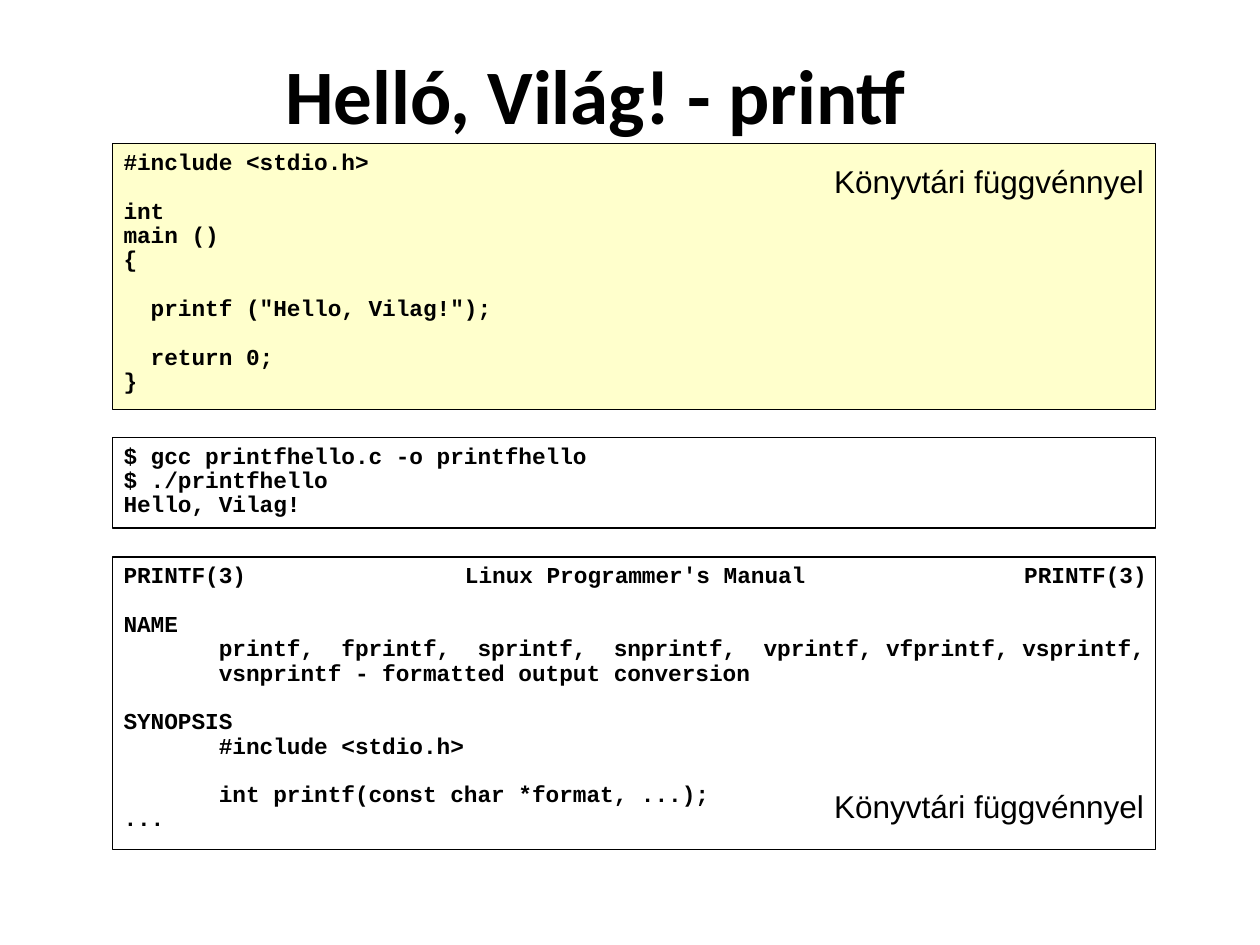
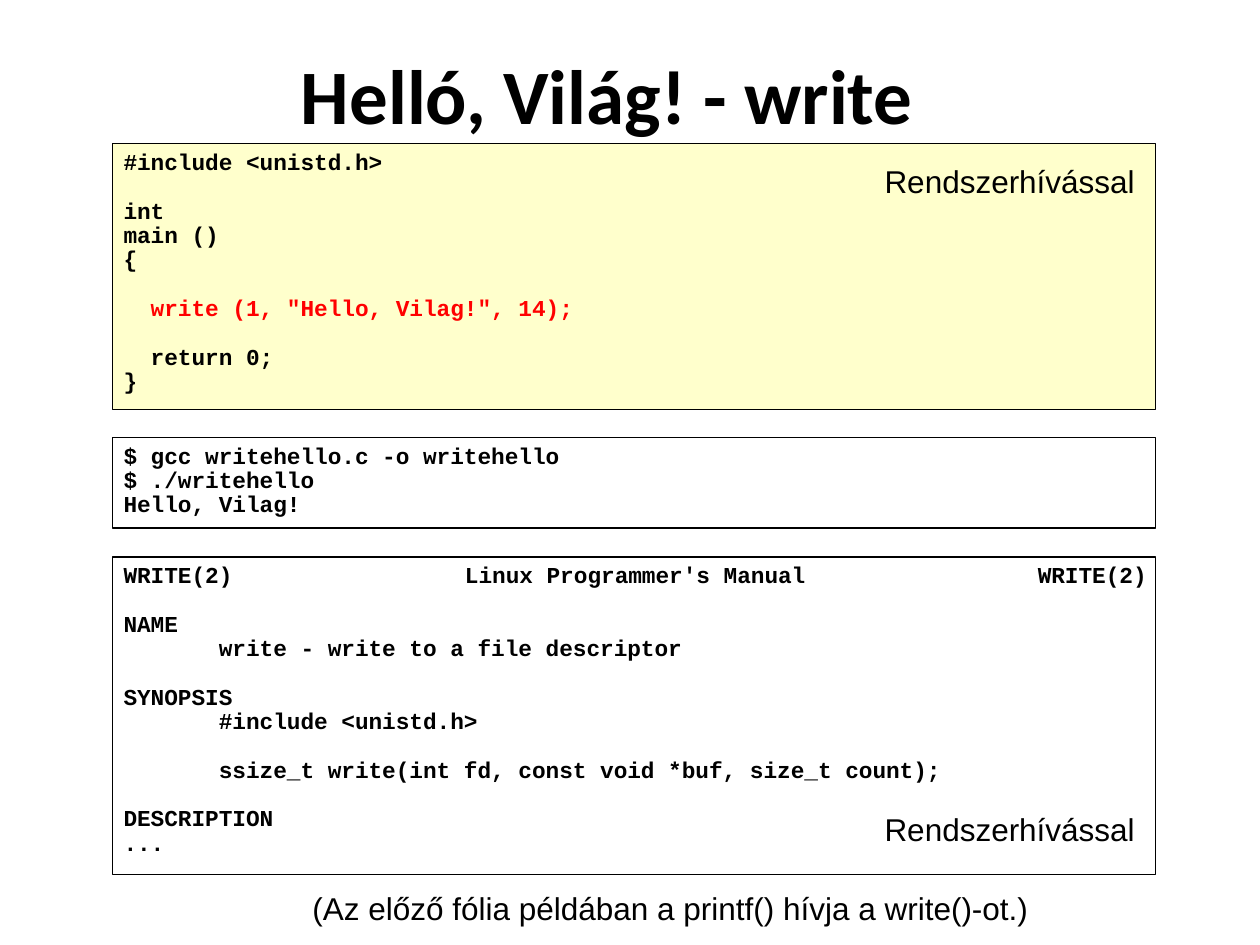
"""Build two slides comparing a library call with a system call in C."""
from dataclasses import dataclass

from lxml import etree
from pptx import Presentation
from pptx.dml.color import RGBColor
from pptx.enum.shapes import MSO_SHAPE
from pptx.enum.text import MSO_ANCHOR, MSO_AUTO_SIZE, PP_ALIGN
from pptx.oxml.ns import qn
from pptx.util import Inches, Pt

RECT = MSO_SHAPE.RECTANGLE
TOP = MSO_ANCHOR.TOP
NO_FIT = MSO_AUTO_SIZE.NONE
LEFT, CENTER = PP_ALIGN.LEFT, PP_ALIGN.CENTER

BLACK = RGBColor(0x00, 0x00, 0x00)
WHITE = RGBColor(0xFF, 0xFF, 0xFF)
CREAM = RGBColor(0xFF, 0xFF, 0xCC)
RED = RGBColor(0xFF, 0x00, 0x00)

TITLE_FONT, CODE_FONT, LABEL_FONT = "Calibri", "Courier New", "Arial"
TITLE_WIDTH = 6
PANEL_LEFT, PANEL_WIDTH = 0.89, 8.28
LABEL_TOP, LABEL_HEIGHT = 1.23, 0.34
BLANK_LINE = Pt(13.9)
MANUAL_TABS = ((4.06, "ctr"), (8.12, "r"))


@dataclass
class Panel:
    """A framed block of code or terminal text."""

    top: float
    height: float
    fill: RGBColor
    text: str
    highlight: str = ""


@dataclass
class Label:
    """A free line of explanatory text."""

    left: float
    top: float
    width: float
    text: str


@dataclass
class Example:
    """Everything one slide shows."""

    title: str
    title_center: float
    panels: list[Panel]
    labels: list[Label]


def source_code(header: str, call: str, highlight: str = "") -> Panel:
    """Return the panel holding the C program around one call."""
    text = f"""#include <{header}>

int
main ()
{{

  {call}

  return 0;
}}"""
    return Panel(1.14, 2.11, CREAM, text, highlight)


def terminal(program: str) -> Panel:
    """Return the panel that compiles and runs a program."""
    text = f"$ gcc {program}.c -o {program}\n$ ./{program}\nHello, Vilag!"
    return Panel(3.47, 0.72, WHITE, text)


def manual(page: str, height: float, body: str) -> Panel:
    """Return the panel holding a manual page."""
    text = f"{page}\tLinux Programmer's Manual\t{page}\n\n{body}"
    return Panel(4.42, height, WHITE, text)


def paired_labels(left: float, lower_top: float, width: float, text: str) -> list[Label]:
    """Return the same label for the code and the manual panel."""
    return [Label(left, top, width, text) for top in (lower_top, LABEL_TOP)]


PRINTF_PAGE = """NAME
       printf,  fprintf,  sprintf,  snprintf,  vprintf, vfprintf, vsprintf,
       vsnprintf - formatted output conversion

SYNOPSIS
       #include <stdio.h>

       int printf(const char *format, ...);
..."""

WRITE_PAGE = """NAME
       write - write to a file descriptor

SYNOPSIS
       #include <unistd.h>

       ssize_t write(int fd, const void *buf, size_t count);

DESCRIPTION
..."""

EXAMPLES = [
    Example(
        "Helló, Világ! - printf",
        4.73,
        [
            source_code("stdio.h", 'printf ("Hello, Vilag!");'),
            terminal("printfhello"),
            manual("PRINTF(3)", 2.32, PRINTF_PAGE),
        ],
        paired_labels(6.53, 6.19, 2.75, "Könyvtári függvénnyel"),
    ),
    Example(
        "Helló, Világ! - write",
        4.82,
        [
            source_code("unistd.h", 'write (1, "Hello, Vilag!", 14);', "write"),
            terminal("writehello"),
            manual("WRITE(2)", 2.52, WRITE_PAGE),
        ],
        paired_labels(6.93, 6.37, 2.25, "Rendszerhívással")
        + [Label(2.39, 7, 6, "(Az előző fólia példában a printf() hívja a write()-ot.)")],
    ),
]


def setup_frame(tf, top_inset: float = 0.06, right_inset: float = 0.09) -> None:
    """Apply the shared margins, anchor and wrapping."""
    tf.auto_size = NO_FIT
    tf.word_wrap = True
    tf.vertical_anchor = TOP
    tf.margin_left, tf.margin_right = Inches(0.09), Inches(right_inset)
    tf.margin_top, tf.margin_bottom = Inches(top_inset), Inches(0.04)


def style_runs(p, name: str, size: float, bold: bool, color: RGBColor = BLACK) -> None:
    """Format every run of a paragraph."""
    for r in p.runs:
        r.font.name = name
        r.font.size = Pt(size)
        r.font.bold = bold
        r.font.color.rgb = color


def add_tabs(p) -> None:
    """Give a paragraph the tab stops of a manual page header."""
    tab_list = etree.SubElement(p._p.get_or_add_pPr(), qn("a:tabLst"))
    for position, align in MANUAL_TABS:
        etree.SubElement(tab_list, qn("a:tab"), pos=str(Inches(position)), algn=align)


def add_title(s, text: str, center: float) -> None:
    """Place and format the title placeholder."""
    sp = s.shapes.title
    sp.left, sp.top = Inches(center - TITLE_WIDTH / 2), Inches(0.31)
    sp.width, sp.height = Inches(TITLE_WIDTH), Inches(0.8)
    tf = sp.text_frame
    tf.text = text
    setup_frame(tf, 0.07)
    p = tf.paragraphs[0]
    p.alignment = CENTER
    style_runs(p, TITLE_FONT, 44, True)


def add_panel(s, panel: Panel) -> None:
    """Draw a framed panel, turning blank lines into paragraph spacing."""
    sp = s.shapes.add_shape(
        RECT, Inches(PANEL_LEFT), Inches(panel.top), Inches(PANEL_WIDTH), Inches(panel.height)
    )
    sp.shadow.inherit = False
    sp.fill.solid()
    sp.fill.fore_color.rgb = panel.fill
    sp.line.color.rgb = BLACK
    sp.line.width = Pt(0.75)
    tf = sp.text_frame
    setup_frame(tf, right_inset=0.02)
    for block_index, block in enumerate(panel.text.split("\n\n")):
        for line_index, line in enumerate(block.split("\n")):
            first = block_index == line_index == 0
            p = tf.paragraphs[0] if first else tf.add_paragraph()
            p.text = line
            p.alignment = LEFT
            p.line_spacing = 0.89
            if block_index and line_index == 0:
                p.space_before = BLANK_LINE
            if "\t" in line:
                add_tabs(p)
            marked = panel.highlight and panel.highlight in line
            style_runs(p, CODE_FONT, 13, True, RED if marked else BLACK)


def add_label(s, label: Label) -> None:
    """Draw a line of explanatory text."""
    sp = s.shapes.add_textbox(
        Inches(label.left), Inches(label.top), Inches(label.width), Inches(LABEL_HEIGHT)
    )
    tf = sp.text_frame
    tf.text = label.text
    setup_frame(tf)
    style_runs(tf.paragraphs[0], LABEL_FONT, 18, False)


def main() -> None:
    """Build and save the presentation."""
    prs = Presentation()
    prs.slide_width, prs.slide_height = Inches(10), Inches(7.5)
    title_only = prs.slide_layouts[5]
    for example in EXAMPLES:
        s = prs.slides.add_slide(title_only)
        add_title(s, example.title, example.title_center)
        for panel in example.panels:
            add_panel(s, panel)
        for label in example.labels:
            add_label(s, label)
    prs.save("out.pptx")


if __name__ == "__main__":
    main()
